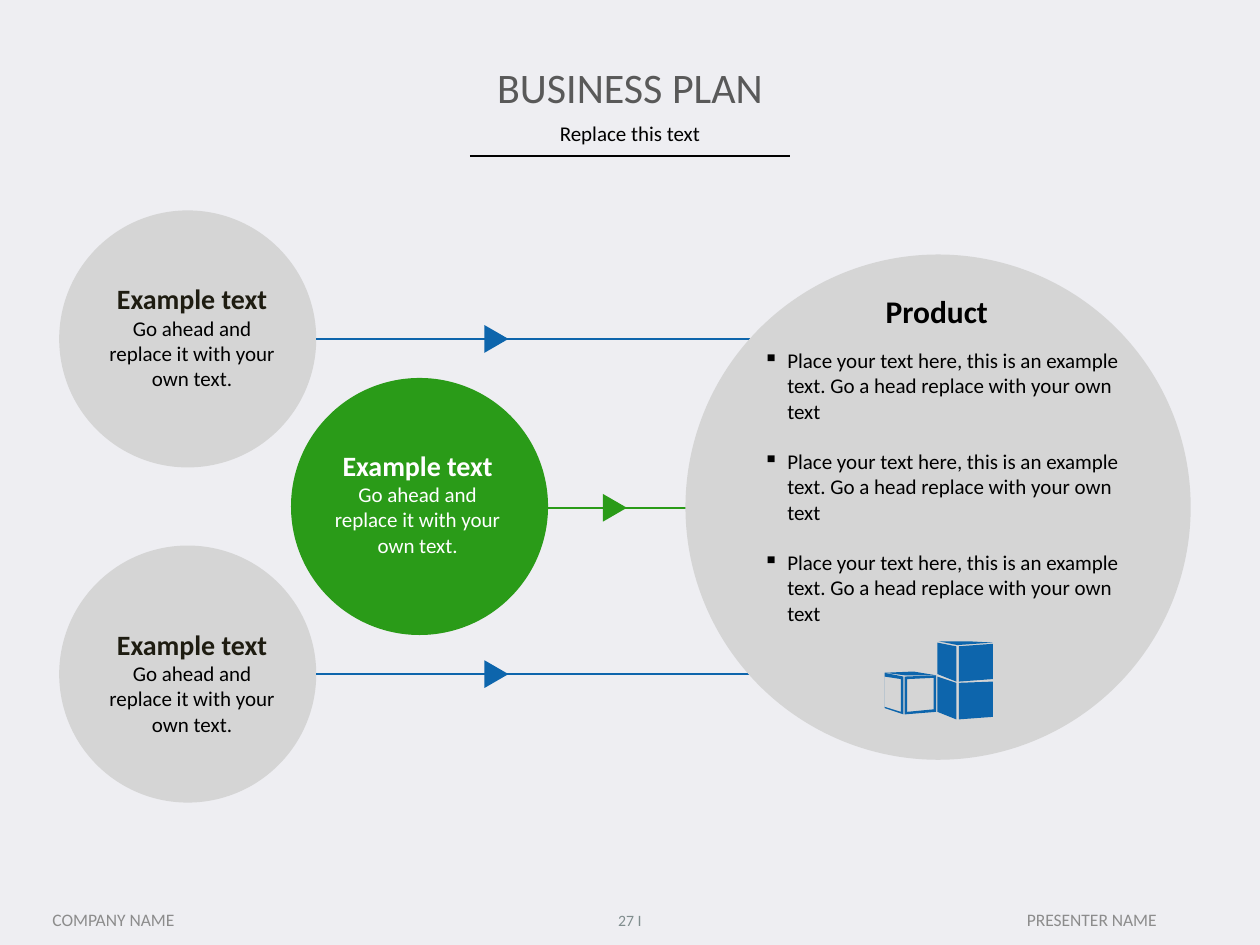
import dataclasses

import lxml.etree
import pptx
import pptx.dml.color
import pptx.enum.shapes
import pptx.enum.text
import pptx.oxml.ns
import pptx.util

Inches = pptx.util.Inches
Pt = pptx.util.Pt
SHAPE = pptx.enum.shapes.MSO_SHAPE
ALIGN = pptx.enum.text.PP_ALIGN
ANCHOR = pptx.enum.text.MSO_ANCHOR
qn = pptx.oxml.ns.qn


@dataclasses.dataclass(frozen=True)
class Theme:
    font: str = "Calibri"
    background: str = "EEEEF2"
    black: str = "000000"
    white: str = "FFFFFF"
    title: str = "595959"
    heading: str = "1E1C11"
    footer: str = "8C8C8C"
    page: str = "7F8C8D"
    gray: str = "D5D5D5"
    green: str = "2A9B18"
    blue: str = "0D65AC"
    title_size: int = 24
    product_size: int = 18
    heading_size: int = 16
    body_size: int = 12
    footer_size: int = 10
    page_size: int = 9


T = Theme()

CUBES = [
    [[(7.02, 5.34), (7.02, 5.62), (7.17, 5.67), (7.17, 5.37)],
     [(7.15, 5.65), (7.02, 5.61), (7.02, 5.37), (7.15, 5.39)]],
    [[(7.18, 5.37), (7.18, 5.67), (7.43, 5.65), (7.43, 5.36)],
     [(7.41, 5.63), (7.2, 5.65), (7.2, 5.39), (7.41, 5.38)]],
    [[(7.02, 5.34), (7.25, 5.33), (7.43, 5.36), (7.18, 5.36)]],
    [[(7.61, 5.42), (7.88, 5.41), (7.88, 5.69), (7.61, 5.71)]],
    [[(7.59, 5.42), (7.44, 5.37), (7.44, 5.65), (7.59, 5.71)]],
    [[(7.61, 5.13), (7.88, 5.11), (7.88, 5.39), (7.61, 5.41)]],
    [[(7.59, 5.13), (7.44, 5.1), (7.44, 5.35), (7.59, 5.41)]],
    [[(7.45, 5.09), (7.69, 5.09), (7.88, 5.1), (7.6, 5.12)]],
]


def rgb(color):
    return pptx.dml.color.RGBColor.from_string(color)


def paint(sp, color):
    sp.shadow.inherit = False
    sp.fill.solid()
    sp.fill.fore_color.rgb = rgb(color)
    sp.line.fill.background()


def add_circle(s, left, top, size, color):
    sp = s.shapes.add_shape(SHAPE.OVAL, Inches(left), Inches(top), Inches(size), Inches(size))
    paint(sp, color)


def add_line(s, x1, x2, y, color):
    line = s.shapes.add_connector(pptx.enum.shapes.MSO_CONNECTOR.STRAIGHT,
                                  Inches(x1), Inches(y), Inches(x2), Inches(y))
    line.line.color.rgb = rgb(color)
    line.line.width = Pt(1)
    lxml.etree.SubElement(line._element.spPr, qn("a:effectLst"))


def add_marker(s, x, y, color, width=0.22, height=0.19):
    sp = s.shapes.add_shape(SHAPE.ISOSCELES_TRIANGLE, Inches(x - width / 2),
                            Inches(y - height / 2), Inches(width), Inches(height))
    sp.rotation = 90
    paint(sp, color)


def add_face(s, contours):
    builder = None
    for contour in contours:
        start, *rest = [(Inches(x), Inches(y)) for x, y in contour]
        if builder is None:
            builder = s.shapes.build_freeform(*start)
        else:
            builder.move_to(*start)
        builder.add_line_segments(rest, close=True)
    paint(builder.convert_to_shape(), T.blue)


def add_box(s, left, top, width, height, anchor=ANCHOR.TOP, wrap=True):
    tf = s.shapes.add_textbox(Inches(left), Inches(top), Inches(width), Inches(height)).text_frame
    tf.word_wrap = wrap
    tf.vertical_anchor = anchor
    return tf


def add_text(tf, text, size=T.body_size, color=T.black, bold=False, align=ALIGN.CENTER,
             bullet=None, before=0, spacing=None):
    p = tf.paragraphs[0] if not tf.text else tf.add_paragraph()
    p.alignment = align
    if spacing:
        p.line_spacing = spacing
    if before:
        p.space_before = Pt(before)
    if bullet:
        pPr = p._p.get_or_add_pPr()
        pPr.set("marL", str(Inches(0.19)))
        pPr.set("indent", str(-Inches(0.19)))
        lxml.etree.SubElement(pPr, qn("a:buChar")).set("char", bullet)
    r = p.add_run()
    r.text = text
    r.font.name = T.font
    r.font.size = Pt(size)
    r.font.bold = bold
    r.font.color.rgb = rgb(color)


def add_example(s, left, top, heading_color, body_color):
    tf = add_box(s, left, top, 1.63, 0.98, ANCHOR.MIDDLE)
    add_text(tf, "Example text", size=T.heading_size, color=heading_color, bold=True)
    add_text(tf, "Go ahead and replace it with your own text.", color=body_color)


def add_header(s):
    add_line(s, 3.73, 6.27, 1.24, T.black)
    add_text(add_box(s, 0.69, 0.44, 8.62, 0.5, ANCHOR.MIDDLE), "BUSINESS PLAN",
             size=T.title_size, color=T.title)
    add_text(add_box(s, 0.69, 0.95, 8.62, 0.27), "Replace this text", spacing=0.8)


def add_footer(s):
    for text, left, width, size, color in (
            ("COMPANY NAME", 0.17, 1.46, T.footer_size, T.footer),
            ("27 I", 4.75, 0.5, T.page_size, T.page),
            ("PRESENTER NAME", 7.5, 2.33, T.footer_size, T.footer)):
        add_text(add_box(s, left, 7.1, width, 0.4, ANCHOR.MIDDLE), text, size=size, color=color)


def add_product(s):
    add_circle(s, 5.44, 2.02, 4.01, T.gray)
    for contours in CUBES:
        add_face(s, contours)
    add_text(add_box(s, 6.93, 2.27, 1.02, 0.4, wrap=False), "Product",
             size=T.product_size, bold=True, align=ALIGN.LEFT)
    tf = add_box(s, 5.96, 2.71, 3.08, 2.32)
    for i in range(3):
        add_text(tf, "Place your text here, this is an example text. "
                     "Go a head replace with your own text",
                 align=ALIGN.LEFT, bullet="▪", before=14.5 if i else 0)


def main():
    prs = pptx.Presentation()
    prs.slide_width, prs.slide_height = Inches(10), Inches(7.5)
    s = prs.slides.add_slide(prs.slide_layouts[6])
    s.background.fill.solid()
    s.background.fill.fore_color.rgb = rgb(T.background)

    add_header(s)
    add_footer(s)
    add_line(s, 3.94, 5.97, 4.03, T.green)
    for y in (2.69, 5.35):
        add_circle(s, 0.47, y - 1.02, 2.04, T.gray)
        add_line(s, 2.51, 6.32, y, T.blue)
        add_marker(s, 3.94, y, T.blue)
    add_circle(s, 2.31, 3, 2.04, T.green)
    add_marker(s, 4.88, 4.03, T.green)
    add_product(s)
    add_example(s, 0.71, 2.18, T.heading, T.black)
    add_example(s, 2.5, 3.5, T.white, T.white)
    add_example(s, 0.71, 4.92, T.heading, T.black)

    prs.save("out.pptx")


if __name__ == "__main__":
    main()
